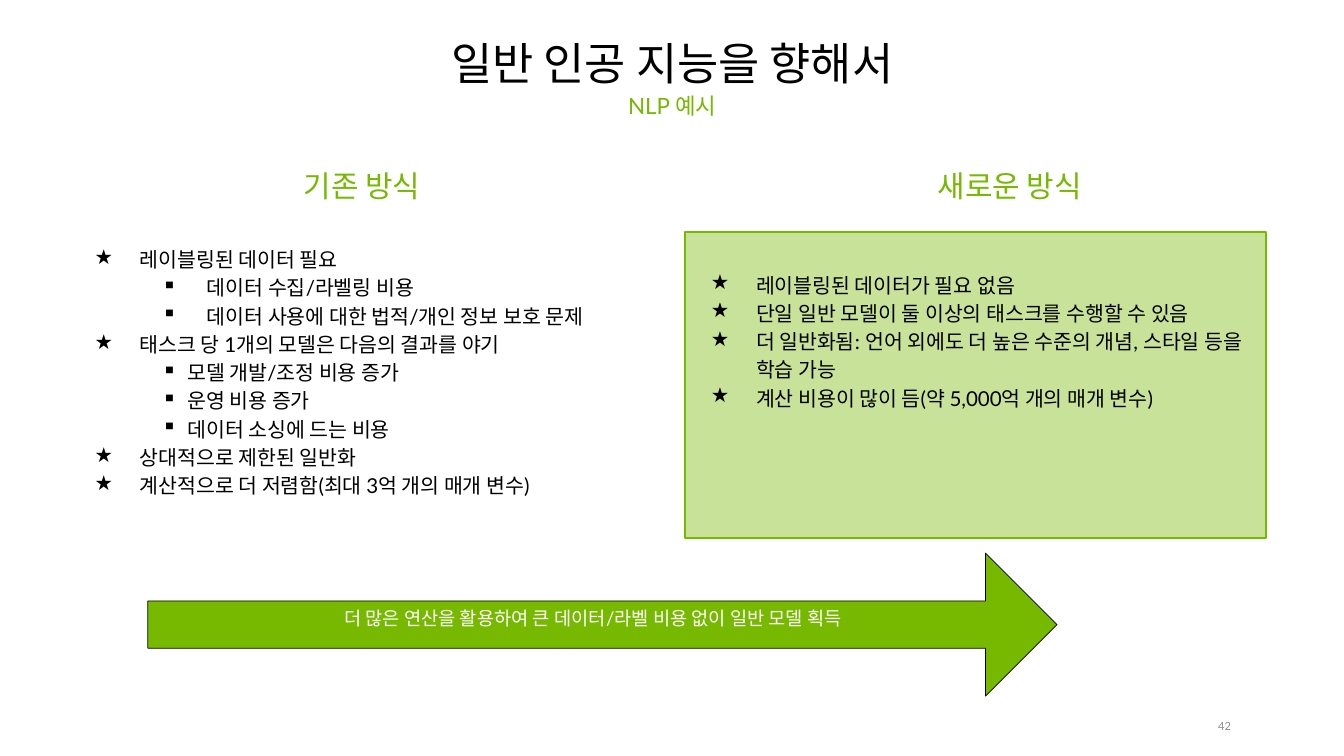
"""Builds the slide comparing the previous and the new approach to NLP models."""
from dataclasses import dataclass

from lxml import etree
from pptx import Presentation
from pptx.dml.color import RGBColor
from pptx.enum.shapes import MSO_SHAPE
from pptx.enum.text import MSO_ANCHOR, PP_ALIGN
from pptx.oxml.ns import qn
from pptx.util import Inches, Pt

LEFT, CENTER, RIGHT = PP_ALIGN.LEFT, PP_ALIGN.CENTER, PP_ALIGN.RIGHT
TOP, MIDDLE, BOTTOM = MSO_ANCHOR.TOP, MSO_ANCHOR.MIDDLE, MSO_ANCHOR.BOTTOM
RECTANGLE, RIGHT_ARROW = MSO_SHAPE.RECTANGLE, MSO_SHAPE.RIGHT_ARROW


@dataclass(frozen=True)
class Theme:
    """Colours, font and type sizes of the slide."""
    font: str = "Lato"
    black: str = "000000"
    white: str = "FFFFFF"
    green: str = "76B900"
    gray: str = "8C8C8C"
    title: int = 48
    heading: int = 32
    subtitle: int = 24
    body: int = 22
    caption: int = 20
    number: int = 12


THEME = Theme()
BODY_INSETS = (0.17, 0.08)
STAR = {"level": 0, "indent": (1, -0.67), "character": "★"}
WIDE_SQUARE = {"level": 1, "indent": (2, -0.67), "character": "▪"}
SQUARE = {"level": 1, "indent": (1.71, -0.38), "character": "▪"}

PREVIOUS_POINTS = [
    ("레이블링된 데이터 필요", STAR),
    ("데이터 수집/라벨링 비용", WIDE_SQUARE),
    ("데이터 사용에 대한 법적/개인 정보 보호 문제", WIDE_SQUARE),
    ("태스크 당 1개의 모델은 다음의 결과를 야기", STAR),
    ("모델 개발/조정 비용 증가", SQUARE),
    ("운영 비용 증가", SQUARE),
    ("데이터 소싱에 드는 비용", SQUARE),
    ("상대적으로 제한된 일반화", STAR),
    ("계산적으로 더 저렴함(최대 3억 개의 매개 변수)", STAR),
]
NEW_POINTS = [
    ("레이블링된 데이터가 필요 없음", STAR),
    ("단일 일반 모델이 둘 이상의 태스크를 수행할 수 있음", STAR),
    ("더 일반화됨: 언어 외에도 더 높은 수준의 개념, 스타일 등을 학습 가능", STAR),
    ("계산 비용이 많이 듬(약 5,000억 개의 매개 변수)", STAR),
]


def set_attributes(target, values):
    """Set every named value on the target."""
    for name, value in values.items():
        setattr(target, name, value)


class SlideBuilder:
    """Draws styled elements on one slide."""

    def __init__(self, slide, theme):
        """Keep the slide and its theme."""
        self.slide = slide
        self.theme = theme

    def frame(self, box, insets, anchor=TOP):
        """Add an empty text box and return its text frame."""
        text_frame = self.slide.shapes.add_textbox(*map(Inches, box)).text_frame
        horizontal, vertical = map(Inches, insets)
        set_attributes(text_frame, {
            "word_wrap": True, "vertical_anchor": anchor,
            "margin_left": horizontal, "margin_right": horizontal,
            "margin_top": vertical, "margin_bottom": vertical,
        })
        return text_frame

    def add_styled_run(self, paragraph, text, size, color):
        """Add one styled run to the paragraph."""
        run = paragraph.add_run()
        run.text = text
        set_attributes(run.font, {"name": self.theme.font, "size": Pt(size)})
        run.font.color.rgb = RGBColor.from_string(color)

    def text(self, box, text, size, color, insets, align=CENTER, anchor=TOP, spacing=0.9):
        """Add a text box with a single paragraph."""
        paragraph = self.frame(box, insets, anchor).paragraphs[0]
        set_attributes(paragraph, {"alignment": align, "line_spacing": spacing})
        self.add_styled_run(paragraph, text, size, color)

    def bullets(self, box, points):
        """Add a text box with a bulleted list."""
        text_frame = self.frame(box, BODY_INSETS)
        for index, (text, style) in enumerate(points):
            paragraph = text_frame.add_paragraph() if index else text_frame.paragraphs[0]
            set_attributes(paragraph, {
                "level": style["level"], "alignment": LEFT, "line_spacing": 1.15,
            })
            self.mark(paragraph, style)
            self.add_styled_run(paragraph, text, self.theme.body, self.theme.black)

    def mark(self, paragraph, style):
        """Give the paragraph its bullet and hanging indent."""
        properties = paragraph._p.get_or_add_pPr()
        for name, length in zip(("marL", "indent"), style["indent"]):
            properties.set(name, str(Inches(length)))
        color = etree.SubElement(properties, qn("a:buClr"))
        etree.SubElement(color, qn("a:srgbClr"), val=self.theme.black)
        etree.SubElement(properties, qn("a:buChar"), char=style["character"])

    def shape(self, kind, box, line_color, line_width, opacity=100, adjustments=()):
        """Add a green preset shape with an outline."""
        shape = self.slide.shapes.add_shape(kind, *map(Inches, box))
        shape.shadow.inherit = False
        for index, value in enumerate(adjustments):
            shape.adjustments[index] = value
        shape.fill.solid()
        shape.fill.fore_color.rgb = RGBColor.from_string(self.theme.green)
        shape.line.color.rgb = RGBColor.from_string(line_color)
        shape.line.width = Pt(line_width)
        if opacity < 100:
            color = shape._element.spPr.find(qn("a:solidFill"))[0]
            etree.SubElement(color, qn("a:alpha"), val=str(opacity * 1000))


def main():
    """Build the slide and save it."""
    presentation = Presentation()
    set_attributes(presentation, {"slide_width": Inches(20), "slide_height": Inches(11.25)})
    slide = presentation.slides.add_slide(presentation.slide_layouts[6])
    builder = SlideBuilder(slide, THEME)

    builder.text((17.73, 10.71, 0.59, 0.2), "42", THEME.number, THEME.gray,
                 (0, 0), RIGHT, MIDDLE, 1.0)
    builder.shape(RECTANGLE, (10.2, 3.45, 8.64, 4.56), THEME.green, 2, opacity=40)
    for left, heading in ((0.91, "기존 방식"), (10.55, "새로운 방식")):
        builder.text((left, 2.48, 8.96, 0.76), heading, THEME.heading, THEME.green, BODY_INSETS)
    builder.bullets((0.91, 3.54, 9.01, 6.73), PREVIOUS_POINTS)
    builder.shape(RIGHT_ARROW, (2.2, 8.23, 13.53, 2.13), THEME.black, 0.75,
                  adjustments=(0.33, 0.5))
    builder.text((2.2, 8.86, 13.25, 0.74), "더 많은 연산을 활용하여 큰 데이터/라벨 비용 없이 일반 모델 획득",
                 THEME.caption, THEME.white, (0.2, 0.2), spacing=1.0)
    builder.text((1.38, 0, 17.25, 1.38), "일반 인공 지능을 향해서", THEME.title, THEME.black,
                 (0.08, 0.04), anchor=BOTTOM)
    builder.text((1.38, 1.36, 17.25, 0.77), "NLP 예시", THEME.subtitle, THEME.green, (0.1, 0.05))
    builder.bullets((10.08, 3.92, 9.01, 6.35), NEW_POINTS)

    presentation.save("out.pptx")


if __name__ == "__main__":
    main()
